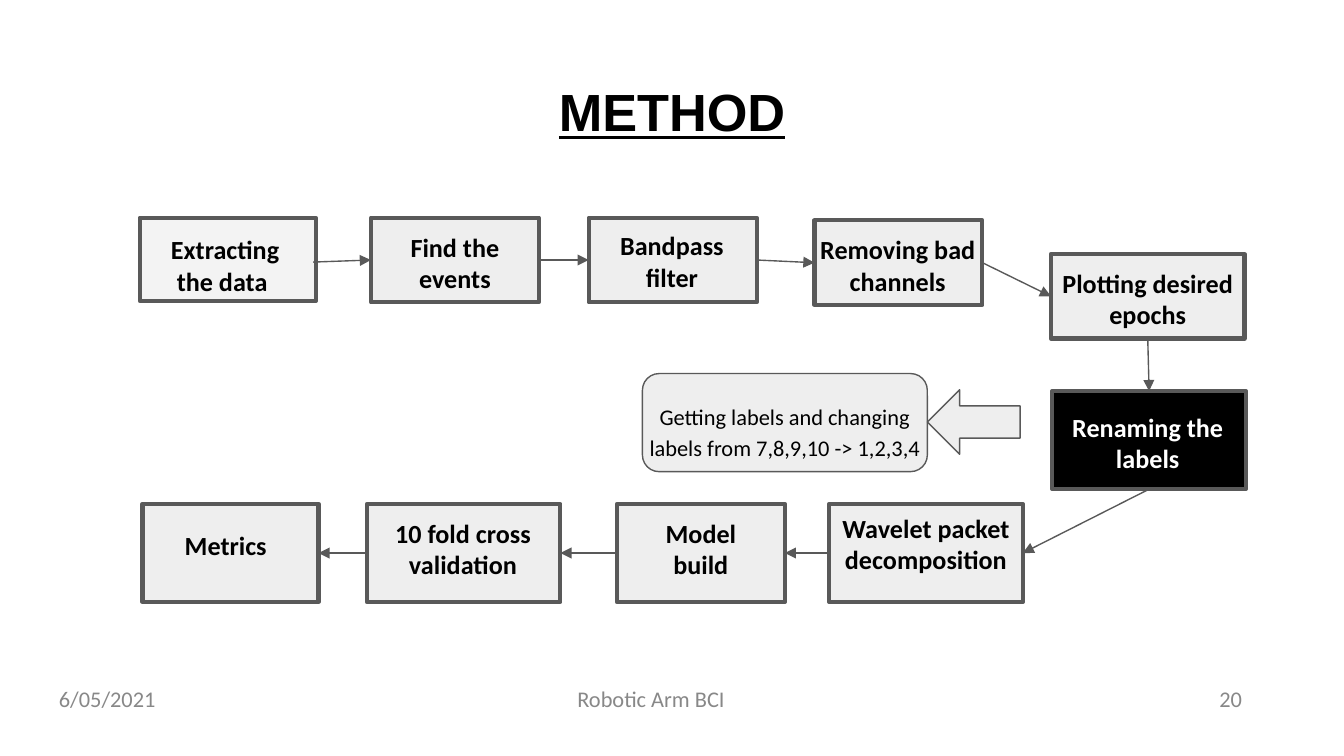
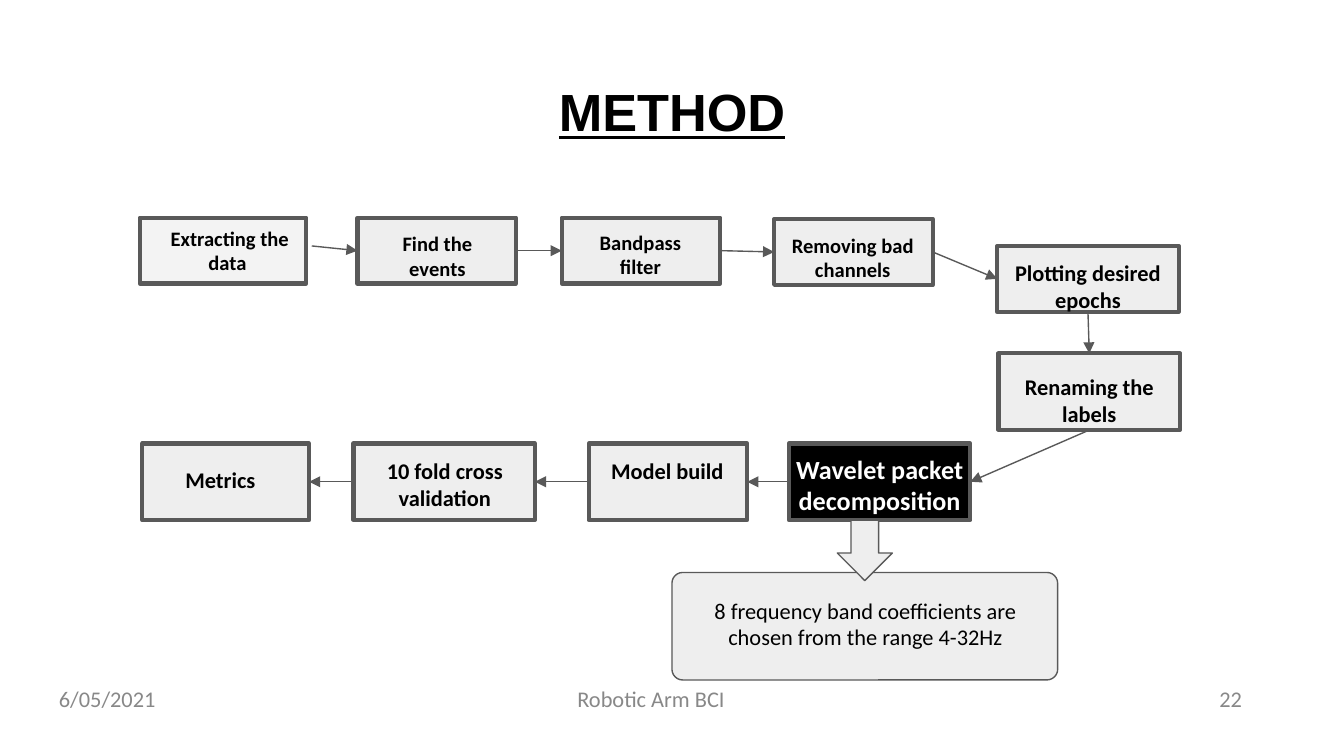
from itertools import pairwise

from lxml import etree
from pptx import Presentation
from pptx.dml.color import RGBColor
from pptx.enum.shapes import MSO_CONNECTOR as CONN, MSO_SHAPE as SHAPE
from pptx.enum.text import MSO_ANCHOR as ANCHOR, PP_ALIGN as ALIGN
from pptx.oxml.ns import qn
from pptx.util import Pt

PX = 9144  # 100 px to the inch
WIDTH = 1000

BLACK = RGBColor(0x00, 0x00, 0x00)
WHITE = RGBColor(0xFF, 0xFF, 0xFF)
PALE = RGBColor(0xF3, 0xF3, 0xF3)
GREY = RGBColor(0xEE, 0xEE, 0xEE)
OUTLINE = RGBColor(0x59, 0x59, 0x59)
MUTED = RGBColor(0x88, 0x88, 0x88)

TOP, LEFT, BOTTOM, RIGHT = range(4)

STEPS = [
    "Extracting the data ", "Find the events", "Bandpass filter",
    "Removing bad channels", "Plotting desired epochs",
    "Renaming the labels", "Wavelet packet decomposition",
    "Model build", "10 fold cross validation", "Metrics",
]
# Side left and side reached by the arrow between each pair of steps
ROUTES = ([(RIGHT, LEFT)] * 4 + [(BOTTOM, TOP), (BOTTOM, RIGHT)]
          + [(LEFT, RIGHT)] * 3)

# One row a step: box, label, text size
LABELS_FLOW = [
    ((104, 162, 131, 62), (102, 164, 131, 63), 14),
    ((276, 162, 125, 63), (283, 162, 111, 55), 14),
    ((438, 162, 125, 63), (442, 161, 116, 56), 14),
    ((606, 164, 125, 63), (596, 164, 144, 63), 14),
    ((782, 189, 144, 63), (774, 189, 160, 61), 14),
    ((783, 291, 144, 73), (782, 296, 144, 61), 14),
    ((617, 375, 144, 73), (609, 371, 160, 63), 14),
    ((459, 375, 125, 73), (466, 375, 111, 55), 14),
    ((273, 375, 144, 73), (279, 375, 131, 73), 14),
    ((106, 375, 131, 73), (121, 384, 94, 55), 14),
]
WAVELET_FLOW = [
    ((104, 162, 124, 49), (109, 158, 124, 49), 11),
    ((266, 162, 118, 49), (273, 162, 105, 43), 11),
    ((418, 162, 118, 49), (422, 161, 109, 45), 11),
    ((576, 163, 118, 49), (567, 163, 135, 49), 11),
    ((742, 183, 135, 49), (734, 183, 151, 49), 12),
    ((743, 263, 135, 57), (743, 268, 135, 49), 12),
    ((587, 330, 135, 57), (579, 327, 151, 49), 14),
    ((438, 330, 118, 57), (444, 330, 105, 43), 12),
    ((263, 330, 135, 57), (269, 330, 124, 57), 12),
    ((106, 330, 124, 57), (120, 337, 88, 43), 12),
]


def px(*lengths):
    return [n * PX for n in lengths]


def add_text(slide, rect, text, size, color=BLACK, font="Calibri",
             align=ALIGN.CENTER, bold=False, underline=None, inset=10,
             anchor=ANCHOR.TOP, spacing=None):
    tf = slide.shapes.add_textbox(*px(*rect)).text_frame
    tf.word_wrap = True
    tf.vertical_anchor = anchor
    tf.margin_left = tf.margin_right = 10 * PX
    tf.margin_top = tf.margin_bottom = inset * PX
    p = tf.paragraphs[0]
    p.text = text
    p.alignment = align
    p.line_spacing = spacing
    f = p.runs[0].font
    f.name, f.size, f.bold, f.underline = font, Pt(size), bold, underline
    f.color.rgb = color


def add_box(slide, kind, rect, fill=GREY, weight=0.75):
    s = slide.shapes.add_shape(kind, *px(*rect))
    s.shadow.inherit = False
    s.fill.solid()
    s.fill.fore_color.rgb = fill
    s.line.color.rgb = OUTLINE
    s.line.width = Pt(weight)
    return s


def add_arrow(slide, start, source, target, route):
    """Join two boxes, or begin at the free point start if one is given."""
    c = slide.shapes.add_connector(CONN.STRAIGHT, *px(*(start or (0, 0))), 0, 0)
    if not start:
        c.begin_connect(source, route[0])
    c.end_connect(target, route[1])
    c.line.color.rgb = OUTLINE
    c.line.width = Pt(0.75)
    etree.SubElement(c.line._get_or_add_ln(), qn("a:tailEnd"), type="triangle")
    etree.SubElement(c._element.spPr, qn("a:effectLst"))


def add_flow(slide, layout, active, first_start):
    boxes = []
    for i, (name, (rect, label, size)) in enumerate(zip(STEPS, layout)):
        fill = BLACK if i == active else GREY if i else PALE
        boxes.append(add_box(slide, SHAPE.RECTANGLE, rect, fill, 2.25))
        add_text(slide, label, name, size, WHITE if i == active else BLACK,
                 bold=True)
    for i, (source, target) in enumerate(pairwise(boxes)):
        add_arrow(slide, None if i else first_start, source, target, ROUTES[i])


def add_callout(slide, rect, radius, label, text, arrow, arrow_rect,
                spacing=None):
    add_box(slide, SHAPE.ROUNDED_RECTANGLE, rect).adjustments[0] = radius
    add_box(slide, arrow, arrow_rect)
    add_text(slide, label, text, 12, spacing=spacing)


def add_method_slide(prs, number):
    """Add a slide with the shared title and footer."""
    slide = prs.slides.add_slide(prs.slide_layouts[6])
    add_text(slide, (34, 49, 932, 63), "METHOD", 28, font="Arial",
             bold=True, underline=True)
    for left, width, text, align in [
        (34, 233, "6/05/2021", ALIGN.LEFT),
        (326, 317, "Robotic Arm BCI", ALIGN.CENTER),
        (701, 233, str(number), ALIGN.RIGHT),
    ]:
        add_text(slide, (left, 500, width, 40), text, 12, MUTED, align=align,
                 inset=5, anchor=ANCHOR.MIDDLE)
    return slide


def main():
    prs = Presentation()
    prs.slide_width = WIDTH * PX
    prs.slide_height = prs.slide_width * 9 // 16

    slide = add_method_slide(prs, 20)
    add_flow(slide, LABELS_FLOW, STEPS.index("Renaming the labels"), (233, 195))
    add_callout(slide, (478, 278, 212, 73), 0.17, (472, 287, 224, 55),
                "Getting labels and changing labels from 7,8,9,10 -> 1,2,3,4",
                SHAPE.LEFT_ARROW, (690, 290, 69, 48), spacing=1.15)

    slide = add_method_slide(prs, 22)
    add_flow(slide, WAVELET_FLOW, STEPS.index("Wavelet packet decomposition"),
             (232, 183))
    add_callout(slide, (500, 426, 287, 80), 0.1, (510, 434, 268, 63),
                "8 frequency band coefficients are chosen from the range 4-32Hz",
                SHAPE.DOWN_ARROW, (623, 387, 41, 45))

    prs.save("out.pptx")


if __name__ == "__main__":
    main()
